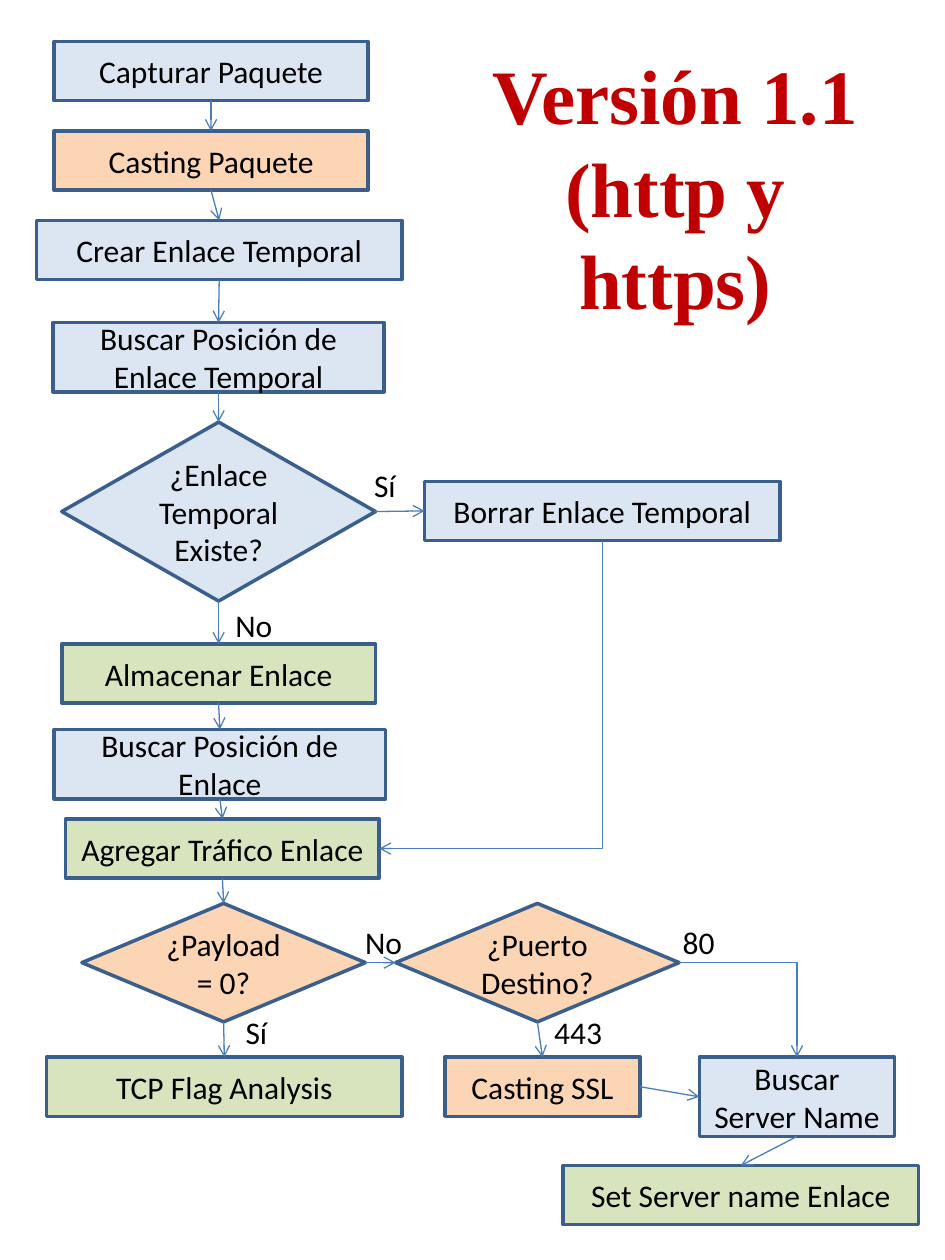
from lxml.etree import SubElement
from pptx import Presentation
from pptx.dml.color import RGBColor
from pptx.enum.shapes import MSO_CONNECTOR, MSO_SHAPE
from pptx.enum.text import MSO_ANCHOR, MSO_AUTO_SIZE, PP_ALIGN
from pptx.oxml.ns import qn
from pptx.util import Inches, Pt

BLUE = RGBColor(0xDC, 0xE6, 0xF2)
PEACH = RGBColor(0xFC, 0xD5, 0xB5)
GREEN = RGBColor(0xD7, 0xE4, 0xBD)
EDGE = RGBColor(0x3A, 0x5F, 0x8C)
ARROW = RGBColor(0x4B, 0x7E, 0xBC)
BLACK = RGBColor(0, 0, 0)
RED = RGBColor(0xC0, 0, 0)

BODY = {"size": Pt(18), "name": "Calibri", "bold": False}
TITLE = {"size": Pt(44), "name": "Times New Roman", "bold": True}
TOP, LEFT, BOTTOM, RIGHT = range(4)
RECT, RHOMB = MSO_SHAPE.RECTANGLE, MSO_SHAPE.DIAMOND
ROW = 0.47  # height of a one-line step


def write(shape, text, style, color, align, anchor):
    """Fill a shape with text in one style."""
    frame = shape.text_frame
    frame.text = text
    form = {"word_wrap": True, "auto_size": MSO_AUTO_SIZE.NONE,
            "vertical_anchor": anchor}
    for key, value in form.items():
        setattr(frame, key, value)
    for para in frame.paragraphs:
        para.alignment = align
        for run in para.runs:
            for key, value in style.items():
                setattr(run.font, key, value)
            run.font.color.rgb = color


def steps(slide, box, rows):
    """Draw the steps of one region inside its box; return them by key."""
    nodes = {}
    for key, text, kind, fill, x, y, w, h in rows:
        node = slide.shapes.add_shape(
            kind, Inches(box[0] + x), Inches(box[1] + y), Inches(w), Inches(h))
        node.shadow.inherit = False
        node.fill.solid()
        node.fill.fore_color.rgb = fill
        node.line.color.rgb = EDGE
        node.line.width = Pt(2)
        write(node, text, BODY, BLACK, PP_ALIGN.CENTER, MSO_ANCHOR.MIDDLE)
        nodes[key] = node
    return nodes


def notes(slide, box, rows):
    """Place the answer labels of one region inside its box."""
    for text, x, y, w in rows:
        label = slide.shapes.add_textbox(
            Inches(box[0] + x), Inches(box[1] + y), Inches(w), Inches(0.4))
        write(label, text, BODY, BLACK, PP_ALIGN.LEFT, MSO_ANCHOR.TOP)


def link(slide, start, out, end, into, bent=False):
    """Join two steps with an arrow, straight or with one corner."""
    kind = MSO_CONNECTOR.ELBOW if bent else MSO_CONNECTOR.STRAIGHT
    line = slide.shapes.add_connector(kind, 0, 0, 0, 0)
    line.begin_connect(start, out)
    line.end_connect(end, into)
    line.line.color.rgb = ARROW
    line.line.width = Pt(0.75)
    props = line._element.spPr
    SubElement(props.get_or_add_ln(), qn("a:tailEnd"), type="arrow")
    SubElement(props, qn("a:effectLst"))
    if bent:
        props.find(qn("a:prstGeom")).set("prst", "bentConnector2")
        if out == BOTTOM:
            turn(line)


def turn(line):
    """Make a one-corner arrow leave downwards, then run left."""
    wide, high = line.width, line.height
    mid, cent = line.left + wide // 2, line.top + high // 2
    form = {"left": mid - high // 2, "top": cent - wide // 2,
            "width": high, "height": wide}
    for key, value in form.items():
        setattr(line, key, value)
    xfrm = line._element.spPr.find(qn("a:xfrm"))
    xfrm.attrib.pop("flipH", None)
    xfrm.set("rot", "5400000")


def head(slide, box):
    """Set the slide title in its box."""
    title = slide.shapes.title
    for key, value in zip(("left", "top", "width", "height"), box):
        setattr(title, key, Inches(value))
    write(title, "Versión 1.1\n(http y https)", TITLE, RED,
          PP_ALIGN.CENTER, MSO_ANCHOR.TOP)


def main(slide, box):
    """Draw the main column, joined from top to bottom."""
    nodes = steps(slide, box, [
        ("grab", "Capturar Paquete", RECT, BLUE, 0.14, 0, 2.49, ROW),
        ("cast", "Casting Paquete", RECT, PEACH, 0.14, 0.71, 2.49, ROW),
        ("make", "Crear Enlace Temporal", RECT, BLUE, 0, 1.42, 2.9, ROW),
        ("seek", "Buscar Posición de Enlace Temporal", RECT, BLUE,
         0.13, 2.23, 2.63, 0.55),
        ("test", "¿Enlace Temporal Existe?", RHOMB, BLUE,
         0.2, 3.02, 2.49, 1.42),
        ("store", "Almacenar Enlace", RECT, GREEN, 0.2, 4.78, 2.49, ROW),
        ("find", "Buscar Posición de Enlace", RECT, BLUE,
         0.14, 5.46, 2.63, 0.55),
        ("add", "Agregar Tráfico Enlace", RECT, GREEN, 0.23, 6.17, 2.49, ROW),
        ("load", "¿Payload = 0?", RHOMB, PEACH, 0.36, 6.84, 2.25, 0.94),
        ("flag", "TCP Flag Analysis", RECT, GREEN, 0.08, 8.06, 2.82, ROW),
    ])
    chain = list(nodes.values())
    for start, end in zip(chain, chain[1:]):
        link(slide, start, BOTTOM, end, TOP)
    notes(slide, box, [("No", 1.48, 4.43, 0.68), ("Sí", 1.56, 7.66, 0.51)])
    return nodes


def erase(slide, box, nodes):
    """Draw the branch that deletes the temporary link."""
    drop = steps(slide, box, [
        ("drop", "Borrar Enlace Temporal", RECT, BLUE, 0.5, 0.17, 2.82, ROW),
    ])["drop"]
    link(slide, nodes["test"], RIGHT, drop, LEFT)
    link(slide, drop, BOTTOM, nodes["add"], RIGHT, bent=True)
    notes(slide, box, [("Sí", 0, 0, 0.51)])


def port(slide, box, nodes):
    """Draw the branch that checks the target port."""
    part = steps(slide, box, [
        ("port", "¿Puerto\nDestino?", RHOMB, PEACH, 0.34, 0, 2.25, 0.94),
        ("cast", "Casting SSL", RECT, PEACH, 0.73, 1.22, 1.55, ROW),
        ("seek", "Buscar Server Name", RECT, BLUE, 2.75, 1.22, 1.55, 0.63),
        ("name", "Set Server name Enlace", RECT, GREEN, 1.67, 2.08, 2.82, ROW),
    ])
    link(slide, nodes["load"], RIGHT, part["port"], LEFT)
    link(slide, part["port"], BOTTOM, part["cast"], TOP)
    link(slide, part["port"], RIGHT, part["seek"], TOP, bent=True)
    link(slide, part["cast"], RIGHT, part["seek"], LEFT)
    link(slide, part["seek"], BOTTOM, part["name"], TOP)
    notes(slide, box, [("No", 0, 0.11, 0.55), ("80", 2.52, 0.11, 0.56),
                       ("443", 1.5, 0.82, 0.65)])


deck = Presentation()
deck.slide_width, deck.slide_height = Inches(7.5), Inches(10)
page = deck.slides.add_slide(deck.slide_layouts[5])
head(page, (3.67, 0.33, 3.38, 1.58))
column = main(page, (0.29, 0.33))
erase(page, (2.87, 3.65), column)
port(page, (2.8, 7.17), column)
deck.save("out.pptx")
